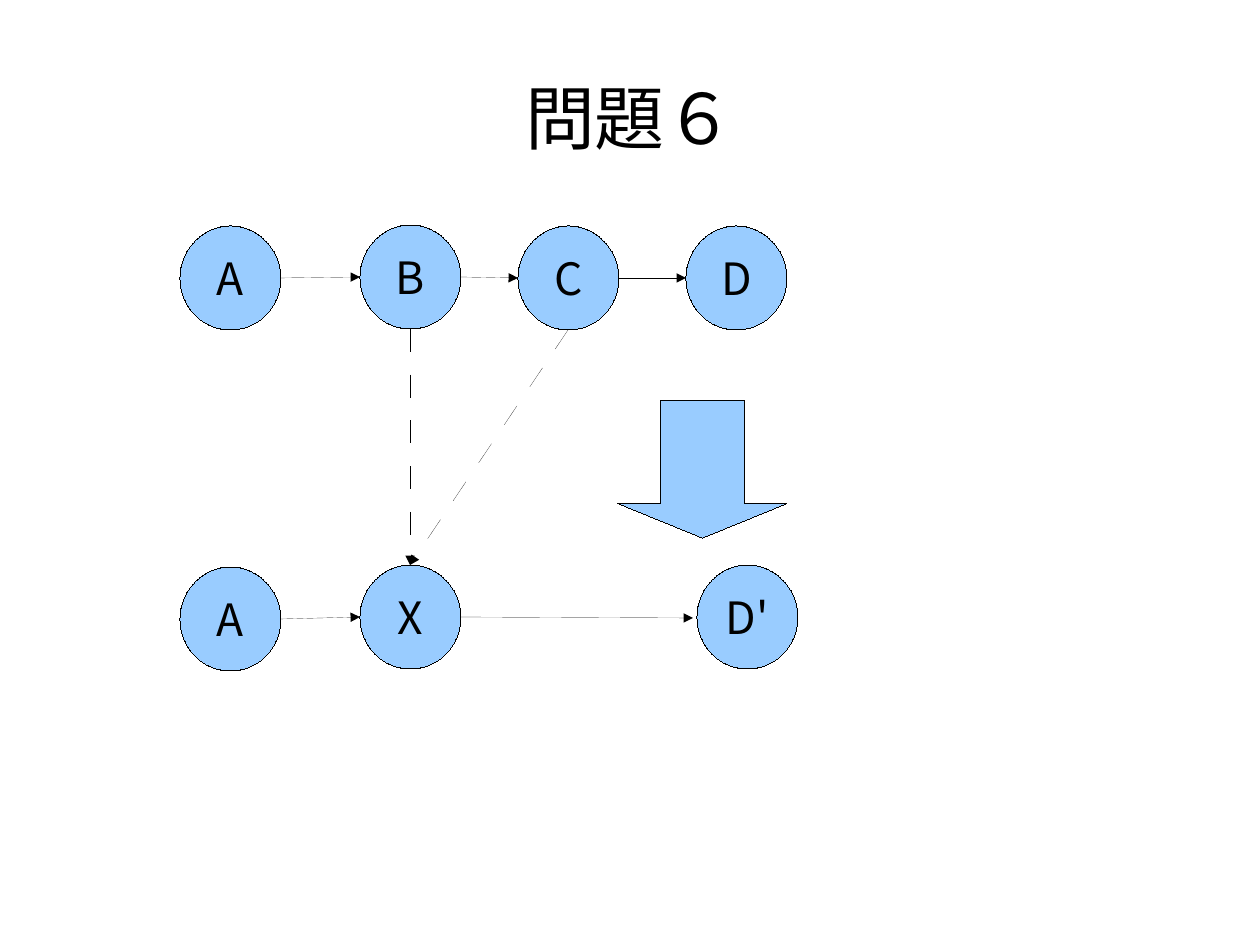
import lxml.etree
import pptx
import pptx.dml.color
import pptx.enum.shapes
import pptx.enum.text
import pptx.oxml.ns
import pptx.util

PX = 8000  # EMU in one px
NODE_W, NODE_H = 101, 104
FONT = "Noto Sans CJK JP"
COLORS = {"ink": "000000", "node": "99CCFF"}
FRAME_FORMAT = {
    "word_wrap": True,
    "vertical_anchor": pptx.enum.text.MSO_ANCHOR.MIDDLE,
}
TITLE_INSETS = dict.fromkeys(
    ("margin_left", "margin_top", "margin_right", "margin_bottom"), 0)


def px(*lengths):
    return [pptx.util.Emu(length * PX) for length in lengths]


def color(name):
    return pptx.dml.color.RGBColor.from_string(COLORS[name])


def set_all(target, values):
    for name, value in values.items():
        setattr(target, name, value)


def add_xml(parent, tag, **attributes):
    child = lxml.etree.SubElement(parent, pptx.oxml.ns.qn(tag))
    for name, value in attributes.items():
        child.set(name, value)
    return child


def write(frame, wording, size, **insets):
    set_all(frame, {**FRAME_FORMAT, **insets})
    paragraph = frame.paragraphs[0]
    paragraph.alignment = pptx.enum.text.PP_ALIGN.CENTER
    run = paragraph.add_run()
    run.text = wording
    set_all(run.font, {"name": FONT, "size": pptx.util.Pt(size), "bold": False})
    run.font.color.rgb = color("ink")
    add_xml(run.font._element, "a:ea", typeface=FONT)


def hairline(line):
    line.color.rgb = color("ink")
    outline = line._get_or_add_ln()
    outline.set("w", "0")
    return outline


def add_filled(slide, kind, *box):
    shape = slide.shapes.add_shape(kind, *px(*box))
    shape.shadow.inherit = False
    shape.fill.solid()
    shape.fill.fore_color.rgb = color("node")
    hairline(shape.line)
    return shape


def add_title(slide, wording):
    title = slide.shapes.add_textbox(*px(63, 38, 1134, 158))
    write(title.text_frame, wording, 44, **TITLE_INSETS)


def add_node(slide, label, left, top):
    """Draw a labelled circle and return its four docking points."""
    node = add_filled(slide, pptx.enum.shapes.MSO_SHAPE.OVAL,
                      left, top, NODE_W, NODE_H)
    write(node.text_frame, label, 28)
    middle_x, middle_y = left + NODE_W // 2, top + NODE_H // 2
    return {
        "left": (left, middle_y),
        "right": (left + NODE_W, middle_y),
        "top": (middle_x, top),
        "bottom": (middle_x, top + NODE_H),
    }


def add_arrow(slide, start, end, dashed=False):
    arrow = slide.shapes.add_connector(
        pptx.enum.shapes.MSO_CONNECTOR.STRAIGHT, *px(*start, *end))
    outline = hairline(arrow.line)
    if dashed:
        dashes = add_xml(outline, "a:custDash")
        add_xml(dashes, "a:ds", d="1885000", sp="1885000")
    add_xml(outline, "a:tailEnd", type="triangle")
    add_xml(arrow._element.spPr, "a:effectLst")


def main():
    deck = pptx.Presentation()
    deck.slide_width, deck.slide_height = px(1260, 945)
    slide = deck.slides.add_slide(deck.slide_layouts[6])
    add_title(slide, "問題６")

    # Chain before the merge
    before = [add_node(slide, *node) for node in (
        ("A", 180, 226), ("B", 360, 225), ("C", 518, 226), ("D", 686, 226))]
    for source, target in zip(before, before[1:]):
        add_arrow(slide, source["right"], target["left"])

    # Chain after the merge
    first, merged, last = [add_node(slide, *node) for node in (
        ("A", 180, 567), ("X", 360, 565), ("D'", 697, 565))]
    add_arrow(slide, first["right"], merged["left"])
    last_x, last_y = last["left"]
    add_arrow(slide, merged["right"], (last_x - 4, last_y + 1))

    # Step from one chain to the other
    step = add_filled(slide, pptx.enum.shapes.MSO_SHAPE.DOWN_ARROW,
                      618, 400, 169, 138)
    step.adjustments[0], step.adjustments[1] = 0.5, 0.25

    # B and C merge into X
    for source in before[1:3]:
        add_arrow(slide, source["bottom"], merged["top"], dashed=True)

    deck.save("out.pptx")


if __name__ == "__main__":
    main()
